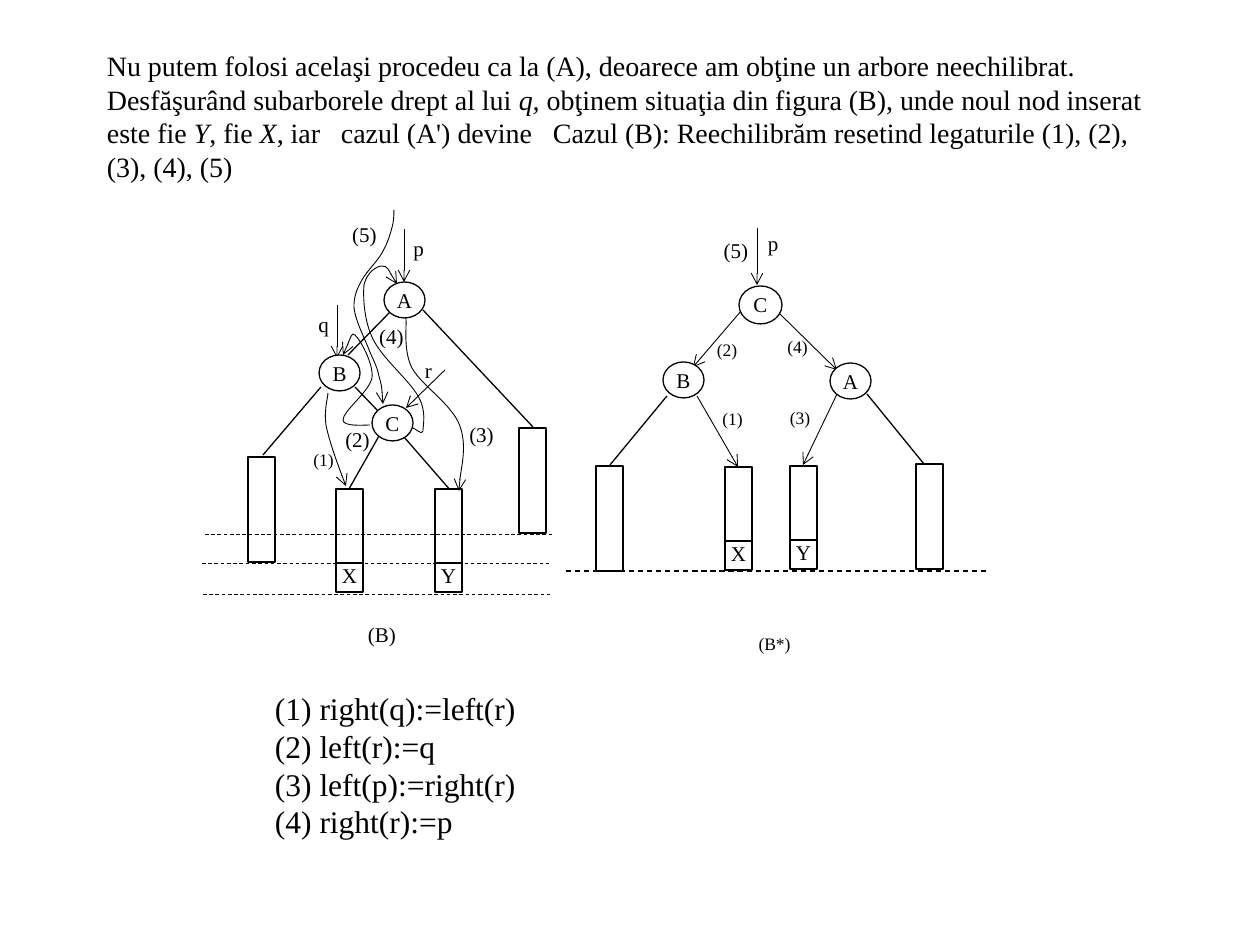
from dataclasses import dataclass

import lxml.etree
import pptx
import pptx.dml.color
import pptx.enum.dml
import pptx.enum.shapes
import pptx.enum.text
import pptx.oxml.ns
import pptx.util

PX = pptx.util.Inches(1) / 126
SHAPE = pptx.enum.shapes.MSO_SHAPE
ALIGN = pptx.enum.text.PP_ALIGN
ANCHOR = pptx.enum.text.MSO_ANCHOR
qn = pptx.oxml.ns.qn


@dataclass(frozen=True)
class Theme:
    font: str = "Times New Roman"
    ink: pptx.dml.color.RGBColor = pptx.dml.color.RGBColor(0, 0, 0)
    paper: pptx.dml.color.RGBColor = pptx.dml.color.RGBColor(255, 255, 255)
    title: int = 16
    rules: int = 18
    label: int = 12
    small: int = 10
    thin: float = 0.5
    line: float = 0.75


THEME = Theme()


def emu(*lengths):
    return [round(n * PX) for n in lengths]


def shift(box, *points):
    """Move points given relative to the box onto the slide, in EMU."""
    return [emu(box[0] + x, box[1] + y) for x, y in points]


def write(shape, paragraphs, size=THEME.label, align=ALIGN.CENTER,
          anchor=ANCHOR.TOP, margins=(0, 0)):
    """Fill a shape with paragraphs, each a list of (text, italic) runs."""
    tf = shape.text_frame
    tf.word_wrap = True
    tf.vertical_anchor = anchor
    tf.margin_left, tf.margin_top = tf.margin_right, tf.margin_bottom = emu(*margins)
    for i, runs in enumerate(paragraphs):
        p = tf.add_paragraph() if i else tf.paragraphs[0]
        p.alignment = align
        for text, italic in runs:
            r = p.add_run()
            r.text = text
            r.font.name, r.font.size = THEME.font, pptx.util.Pt(size)
            r.font.italic = italic
            r.font.color.rgb = THEME.ink
    return tf


def add_label(s, box, text, x, y, w, h, margins=(5, 5), **fmt):
    (left, top), = shift(box, (x, y))
    write(s.shapes.add_textbox(left, top, *emu(w, h)), [[(text, False)]],
          margins=margins, **fmt)


def add_outlined(s, box, x, y, w, h, kind=SHAPE.RECTANGLE, text=None):
    (left, top), = shift(box, (x, y))
    sp = s.shapes.add_shape(kind, left, top, *emu(w, h))
    sp.shadow.inherit = False
    sp.fill.solid()
    sp.fill.fore_color.rgb = THEME.paper
    set_line(sp, THEME.line)
    if text:
        write(sp, [[(text, False)]])


def add_node(s, box, text, x, y, w=41, h=36):
    add_outlined(s, box, x, y, w, h, SHAPE.FLOWCHART_CONNECTOR, text)


def add_subtree(s, box, x, y):
    add_outlined(s, box, x, y, 27, 105)


def add_grown_subtree(s, box, text, x, y):
    """A shorter subtree with the inserted node below it."""
    add_outlined(s, box, x, y, 27, 74)
    add_outlined(s, box, x, y + 74, 27, 29, text=text)


def set_line(sp, width, arrow=False, dash=False):
    sp.line.color.rgb = THEME.ink
    sp.line.width = pptx.util.Pt(width)
    if dash:
        sp.line.dash_style = pptx.enum.dml.MSO_LINE.DASH
    if arrow:
        ln = sp.element.spPr.find(qn("a:ln"))
        lxml.etree.SubElement(ln, qn("a:tailEnd"), type="arrow")


def add_edge(s, box, x1, y1, x2, y2, width=THEME.line, **style):
    start, end = shift(box, (x1, y1), (x2, y2))
    c = s.shapes.add_connector(pptx.enum.shapes.MSO_CONNECTOR.STRAIGHT, *start, *end)
    set_line(c, width, **style)
    lxml.etree.SubElement(c.element.spPr, qn("a:effectLst"))


def add_arrow(s, box, *ends):
    add_edge(s, box, *ends, width=THEME.thin, arrow=True)


def add_curved_arrow(s, box, *points):
    """A start point followed by three points for each Bézier segment."""
    start, *rest = shift(box, *points)
    builder = s.shapes.build_freeform(*start)
    builder.add_line_segments(rest, close=False)
    sp = builder.convert_to_shape()
    sp.shadow.inherit = False
    sp.fill.background()
    set_line(sp, THEME.thin, arrow=True)
    steps = list(sp.element.spPr.iter(qn("a:lnTo")))
    outline = steps[0].getparent()
    for i in range(0, len(steps), 3):
        bezier = lxml.etree.SubElement(outline, qn("a:cubicBezTo"))
        for step in steps[i:i + 3]:
            bezier.append(step[0])
            outline.remove(step)


def add_intro(s, box):
    runs = [("Nu putem folosi acelaşi procedeu ca la (A), deoarece am obţine un arbore "
             "neechilibrat. Desfăşurând subarborele drept al lui ", False),
            ("q,", True),
            (" obţinem situaţia din figura (B), unde noul nod inserat este fie ", False),
            ("Y", True), (", fie ", False), ("X", True),
            (", iar\tcazul (A') devine\tCazul (B): Reechilibrăm resetind legaturile "
             "(1), (2), (3), (4), (5)", False)]
    tf = write(s.shapes.add_textbox(*emu(*box)), [runs], size=THEME.title,
               align=ALIGN.LEFT, anchor=ANCHOR.MIDDLE, margins=(13, 6))
    tabs = lxml.etree.SubElement(tf.paragraphs[0]._p.get_or_add_pPr(), qn("a:tabLst"))
    for stop in emu(234, 446):
        lxml.etree.SubElement(tabs, qn("a:tab"), pos=str(stop), algn="l")


def add_tree_before(s, box):
    for ends in [(189, 101, 146, 145), (119, 177, 61, 245), (153, 177, 176, 201),
                 (221, 100, 331, 217), (177, 226, 147, 279), (202, 227, 249, 281)]:
        add_edge(s, box, *ends)
    for ends in [(202, 19, 202, 72), (135, 95, 135, 148), (243, 160, 204, 198)]:
        add_arrow(s, box, *ends)
    for name, x, y in [("A", 182, 72), ("B", 117, 145), ("C", 170, 195)]:
        add_node(s, box, name, x, y)
    add_subtree(s, box, 46, 247)
    add_subtree(s, box, 317, 218)
    add_grown_subtree(s, box, "X", 134, 279)
    add_grown_subtree(s, box, "Y", 233, 279)
    for x, y in [(3, 324), (0, 353), (1, 384)]:
        add_edge(s, box, x, y, x + 349, y, width=THEME.thin, dash=True)
    link_1 = [(126, 183), (126, 188), (122, 198), (124, 215),
              (127, 230), (139, 264), (144, 276)]
    link_2 = [(168, 215), (163, 215), (141, 217), (141, 210), (141, 201), (167, 182),
              (170, 168), (172, 154), (158, 129), (153, 125), (150, 121), (143, 142),
              (141, 145)]
    link_3 = [(204, 108), (205, 116), (201, 140), (210, 158), (220, 176), (250, 194),
              (258, 216), (265, 236), (257, 268), (257, 281)]
    link_4 = [(211, 218), (213, 218), (220, 226), (221, 221), (221, 215), (225, 201),
              (216, 186), (208, 171), (180, 148), (171, 129), (162, 111), (161, 87),
              (162, 75), (165, 62), (175, 56), (180, 56), (186, 56), (192, 70), (195, 74)]
    link_5 = [(192, 0), (192, 3), (192, 8), (191, 14), (189, 22), (186, 33), (180, 43),
              (175, 52), (165, 61), (160, 70), (155, 79), (152, 86), (152, 97),
              (153, 109), (161, 125), (166, 137), (170, 148), (175, 155), (177, 166),
              (180, 176), (181, 188), (181, 194)]
    for link in (link_1, link_2, link_3, link_4, link_5):
        add_curved_arrow(s, box, *link)
    for name, *place in [("(5)", 136, 7, 53, 40), ("(4)", 158, 109, 63, 39),
                         ("p", 200, 21, 33, 38), ("q", 105, 97, 33, 39),
                         ("r", 210, 143, 33, 29), ("(2)", 126, 211, 59, 34),
                         ("(3)", 257, 207, 45, 34)]:
        add_label(s, box, name, *place)
    add_label(s, box, "(1)", 99, 234, 45, 37, size=THEME.small)
    add_label(s, box, "(B)", 166, 412, 57, 32, margins=(0, 0), align=ALIGN.LEFT)


def add_tree_after(s, box):
    add_edge(s, box, 101, 170, 44, 239)
    add_edge(s, box, 301, 168, 358, 238)
    for ends in [(191, 2, 191, 59), (176, 84, 127, 141), (214, 88, 271, 144),
                 (131, 170, 172, 241), (272, 166, 237, 239)]:
        add_arrow(s, box, *ends)
    add_node(s, box, "C", 173, 60, 43, 38)
    add_node(s, box, "B", 97, 136)
    add_node(s, box, "A", 264, 137)
    add_subtree(s, box, 30, 240)
    add_subtree(s, box, 350, 238)
    add_grown_subtree(s, box, "X", 159, 241)
    add_grown_subtree(s, box, "Y", 224, 240)
    add_edge(s, box, 0, 345, 421, 345, dash=True)
    add_label(s, box, "p", 190, 0, 34, 40)
    add_label(s, box, "(5)", 140, 6, 60, 44)
    for name, *place in [("(1)", 133, 177, 67, 40), ("(2)", 135, 108, 52, 37),
                         ("(3)", 208, 176, 52, 40), ("(4)", 204, 105, 55, 38)]:
        add_label(s, box, name, *place, size=THEME.small)
    add_label(s, box, "(B*)", 180, 407, 57, 29, margins=(0, 0), size=THEME.small)


def add_rules(s, box):
    rules = ["(1) right(q):=left(r)", "(2) left(r):=q",
             "(3) left(p):=right(r)", "(4) right(r):=p"]
    write(s.shapes.add_textbox(*emu(*box)), [[(rule, False)] for rule in rules],
          size=THEME.rules, align=ALIGN.JUSTIFY, margins=(13, 6))


def main():
    prs = pptx.Presentation()
    prs.slide_width, prs.slide_height = emu(1260, 945)
    s = prs.slides.add_slide(prs.slide_layouts[6])
    add_intro(s, (94, 53, 1071, 126))
    add_tree_before(s, (202, 210, 352, 444))
    add_tree_after(s, (566, 226, 421, 436))
    add_rules(s, (262, 683, 368, 222))
    prs.save("out.pptx")


if __name__ == "__main__":
    main()
